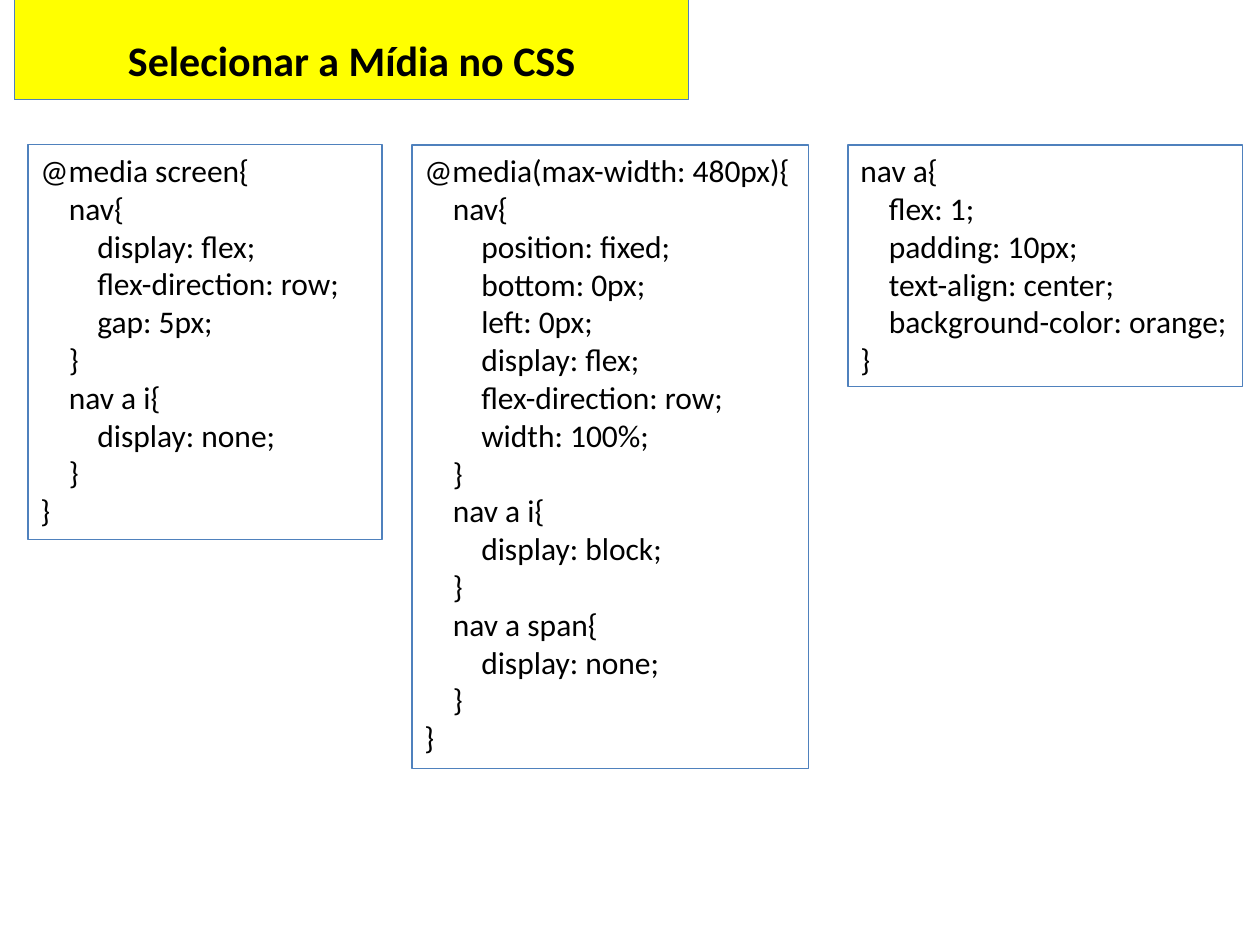
from pptx import Presentation
from pptx.dml.color import RGBColor
from pptx.enum.text import MSO_ANCHOR, MSO_AUTO_SIZE, PP_ALIGN
from pptx.util import Pt

BLACK = RGBColor(0x00, 0x00, 0x00)
YELLOW = RGBColor(0xFF, 0xFF, 0x00)
BLUE = RGBColor(0x4F, 0x81, 0xBD)
INDENT = Pt(16.27)
CODE_TOP = Pt(82.8)

# left, width, height in points, then the code; indents follow the braces
CODE_BOXES = [
    (16, 202.3, 225.4, """@media screen{
nav{
display: flex;
flex-direction: row;
gap: 5px;
}
nav a i{
display: none;
}
}"""),
    (235.4, 226.8, 356.4, """@media(max-width: 480px){
nav{
position: fixed;
bottom: 0px;
left: 0px;
display: flex;
flex-direction: row;
width: 100%;
}
nav a i{
display: block;
}
nav a span{
display: none;
}
}"""),
    (484.6, 225.4, 138.2, """nav a{
flex: 1;
padding: 10px;
text-align: center;
background-color: orange;
}"""),
]


def format_box(shape, size, bold):
    """Give a filled-in shape its outline, fit and font."""
    shape.line.color.rgb = BLUE
    shape.line.width = Pt(0.75)
    shape.text_frame.word_wrap = True
    shape.text_frame.auto_size = MSO_AUTO_SIZE.SHAPE_TO_FIT_TEXT
    for paragraph in shape.text_frame.paragraphs:
        for run in paragraph.runs:
            run.font.name = "Calibri"
            run.font.size = Pt(size)
            run.font.bold = bold
            run.font.color.rgb = BLACK


presentation = Presentation()
presentation.slide_width = Pt(720)
presentation.slide_height = Pt(540)
slide = presentation.slides.add_slide(presentation.slide_layouts[5])

title = slide.shapes.title
title.left, title.top, title.width, title.height = Pt(8.4), Pt(1.4), Pt(385.2), Pt(51.1)
title.fill.solid()
title.fill.fore_color.rgb = YELLOW
title.text_frame.text = "Selecionar a Mídia no CSS"
title.text_frame.vertical_anchor = MSO_ANCHOR.MIDDLE
title.text_frame.paragraphs[0].alignment = PP_ALIGN.CENTER
title.text_frame.paragraphs[0].line_spacing = 1.5
format_box(title, 24, True)

for left, width, height, code in CODE_BOXES:
    code_box = slide.shapes.add_textbox(Pt(left), CODE_TOP, Pt(width), Pt(height))
    code_box.text_frame.text = code
    depth = 0
    for paragraph in code_box.text_frame.paragraphs:
        depth -= paragraph.text.count("}")
        properties = paragraph._p.get_or_add_pPr()
        properties.set("marL", str(depth * INDENT))
        properties.set("indent", "0")
        depth += paragraph.text.count("{")
    format_box(code_box, 18, False)

presentation.save("out.pptx")
